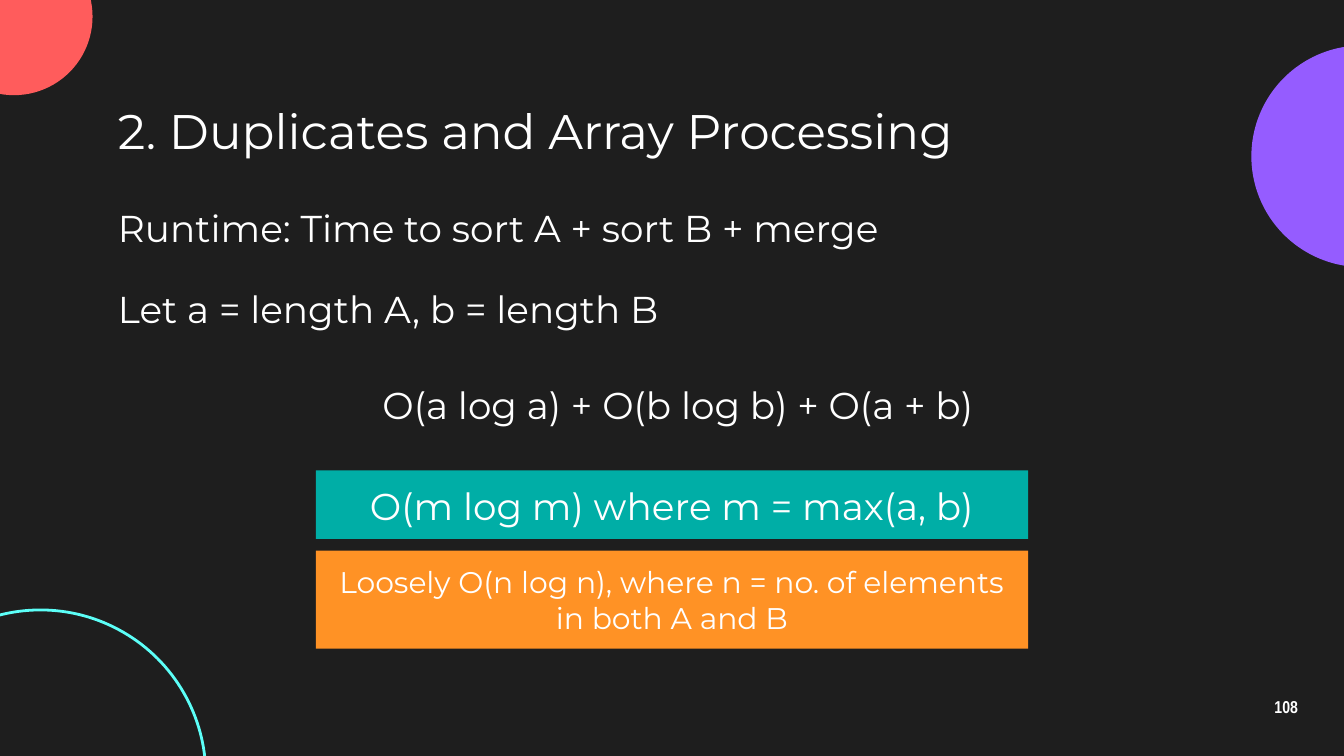
from pptx import Presentation
from pptx.dml.color import RGBColor
from pptx.enum.shapes import MSO_SHAPE as Shape
from pptx.enum.text import MSO_ANCHOR as Anchor, MSO_AUTO_SIZE as AutoSize, PP_ALIGN as Align
from pptx.util import Cm, Pt


def color(hex_string):
    return RGBColor.from_string(hex_string)


def write(box, text, size, align=Align.LEFT, anchor=Anchor.TOP, **font):
    """Put one formatted paragraph in the box and return it."""
    frame = box.text_frame
    frame_format = {"word_wrap": True, "auto_size": AutoSize.NONE, "vertical_anchor": anchor}
    for side in ("left", "top", "right", "bottom"):
        frame_format[f"margin_{side}"] = Cm(0.25)
    for name, value in frame_format.items():
        setattr(frame, name, value)
    para = frame.paragraphs[0]
    para.alignment = align
    span = para.add_run()
    span.text = text
    font_format = {"name": "Montserrat", "size": Pt(size), "bold": False, **font}
    for name, value in font_format.items():
        setattr(span.font, name, value)
    span.font.color.rgb = color("FFFFFF")
    return para


deck = Presentation()
deck.slide_width, deck.slide_height = Cm(25.4), Cm(14.29)
page = deck.slides.add_slide(deck.slide_layouts.get_by_name("Title Only"))
page.background.fill.solid()
page.background.fill.fore_color.rgb = color("1E1E1E")

# Corner circles: left, top, diameter, fill, outline
circles = [
    (23.65, 0.86, 4.19, "955CFF", None),
    (-1.22, -1.17, 2.97, "FF5C5C", None),
    (-2.36, 11.53, 6.25, None, "5CFFF8"),
]
for left, top, diameter, fill, outline in circles:
    circle = page.shapes.add_shape(Shape.OVAL, Cm(left), Cm(top), Cm(diameter), Cm(diameter))
    circle.shadow.inherit = False
    if fill:
        circle.fill.solid()
        circle.fill.fore_color.rgb = color(fill)
    else:
        circle.fill.background()
    if outline:
        circle.line.color.rgb = color(outline)
        circle.line.width = Pt(1.5)
    else:
        circle.line.fill.background()

title = page.shapes.title
title_place = {"left": 1.98, "top": 1.8, "width": 21.44, "height": 1.3}
for name, value in title_place.items():
    setattr(title, name, Cm(value))
write(title, "2. Duplicates and Array Processing", 26, anchor=Anchor.MIDDLE)

# Runtime statements: left, top, alignment, text
statements = [
    (1.98, 3.63, Align.LEFT, "Runtime: Time to sort A + sort B + merge"),
    (1.98, 5.16, Align.LEFT, "Let a = length A, b = length B"),
    (2.67, 6.98, Align.CENTER, "O(a log a) + O(b log b) + O(a + b)"),
]
for left, top, align, text in statements:
    box = page.shapes.add_textbox(Cm(left), Cm(top), Cm(20.29), Cm(1.3))
    write(box, text, 20, align)

# Result bars: top, height, fill, text size, text
results = [
    (8.89, 1.3, "00AEA6", 20, "O(m log m) where m = max(a, b)"),
    (10.41, 1.85, "FF9225", 16, "Loosely O(n log n), where n = no. of elements in both A and B"),
]
for top, height, fill, size, text in results:
    bar = page.shapes.add_shape(Shape.RECTANGLE, Cm(5.97), Cm(top), Cm(13.46), Cm(height))
    bar.shadow.inherit = False
    bar.fill.solid()
    bar.fill.fore_color.rgb = color(fill)
    bar.line.fill.background()
    write(bar, text, size, Align.CENTER)

page_number = page.shapes.add_textbox(Cm(23.55), Cm(12.95), Cm(1.52), Cm(0.86))
number_para = write(page_number, "108", 9.2, Align.CENTER, Anchor.MIDDLE,
                    name="Arial Narrow", bold=True)
number_para.line_spacing = 0.9

deck.save("out.pptx")
